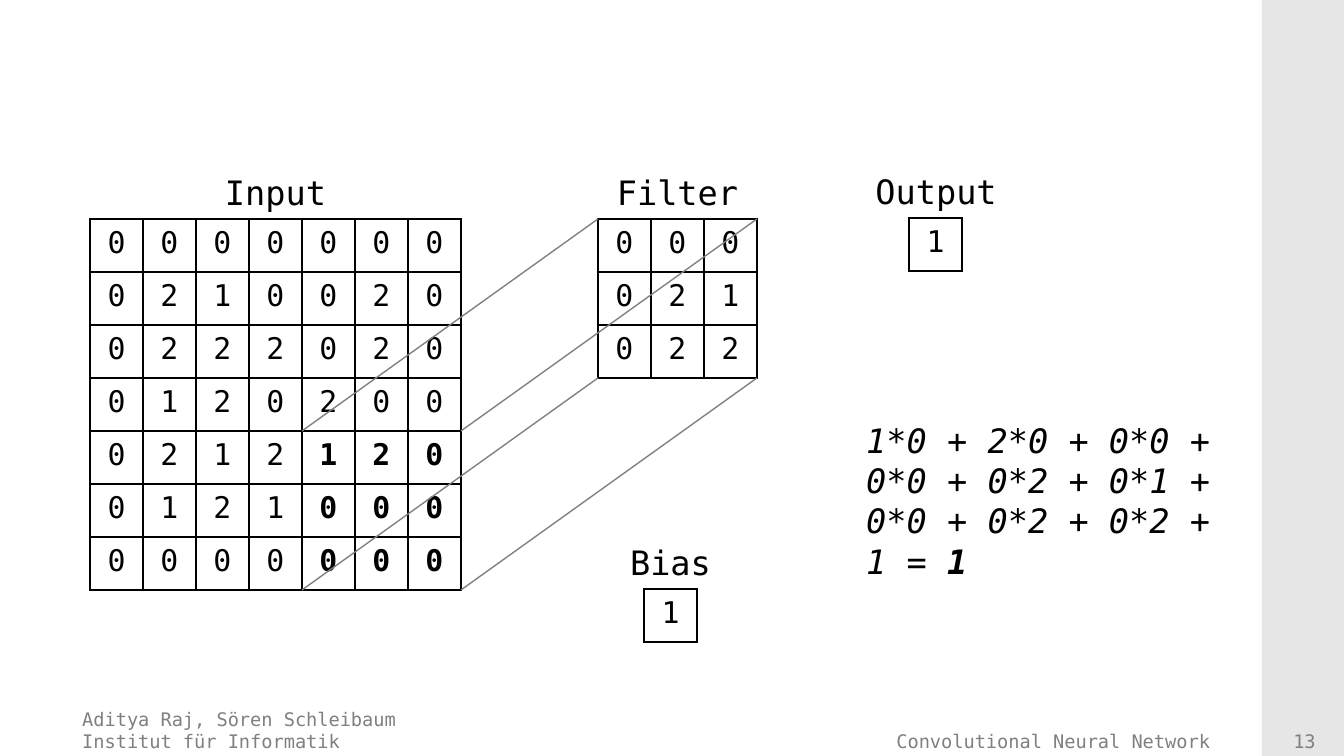
from dataclasses import dataclass

from lxml import etree
from pptx import Presentation
from pptx.dml.color import RGBColor
from pptx.enum.shapes import MSO_CONNECTOR, MSO_SHAPE
from pptx.enum.text import MSO_ANCHOR, PP_ALIGN
from pptx.oxml.ns import qn
from pptx.util import Pt

LEFT, MID, RIGHT = PP_ALIGN.LEFT, PP_ALIGN.CENTER, PP_ALIGN.RIGHT
TOP, BOTTOM = MSO_ANCHOR.TOP, MSO_ANCHOR.BOTTOM
RECT, LINE = MSO_SHAPE.RECTANGLE, MSO_CONNECTOR.STRAIGHT
SCALE = 914400 / 134.4
CELL = 53


@dataclass(frozen=True)
class Theme:
    font: str = "DejaVu Sans Mono"
    ink: str = "000000"
    gray: str = "808080"
    band: str = "E6E6E6"
    head: int = 18
    cell: int = 16
    foot: int = 10
    rule: float = 1
    ray: float = 0.75


THEME = Theme()


def px(*sizes):
    return [round(size * SCALE) for size in sizes]


def style(par, size, color, align, bold=False, italic=False):
    par.alignment = align
    for run in par.runs:
        font = run.font
        font.name, font.size = THEME.font, Pt(size)
        font.bold, font.italic = bold, italic
        font.color.rgb = RGBColor.from_string(color)


def text(slide, box, words, size, color, align, anchor=TOP, italic=False):
    frame = slide.shapes.add_textbox(*px(*box)).text_frame
    frame.word_wrap = True
    frame.vertical_anchor = anchor
    frame.text = words
    for par in frame.paragraphs:
        style(par, size, color, align, italic=italic)
    return frame


def border(cell):
    props = cell._tc.get_or_add_tcPr()
    for place, side in enumerate(("lnL", "lnR", "lnT", "lnB")):
        edge = etree.Element(qn(f"a:{side}"), w=str(Pt(THEME.rule)))
        fill = etree.SubElement(edge, qn("a:solidFill"))
        etree.SubElement(fill, qn("a:srgbClr"), val=THEME.ink)
        props.insert(place, edge)


def grid(slide, left, top, rows, hot=None):
    high, wide = len(rows), len(rows[0])
    box = px(left, top, wide * CELL, high * CELL)
    table = slide.shapes.add_table(high, wide, *box).table
    table.first_row = table.horz_banding = False
    for line in (*table.rows,):
        line.height = px(CELL)[0]
    for line in (*table.columns,):
        line.width = px(CELL)[0]
    for r, row in enumerate(rows):
        for c, value in enumerate(row):
            cell = table.cell(r, c)
            cell.fill.background()
            border(cell)
            cell.text_frame.text = value
            bold = hot is not None and min(r, c) >= hot
            style(cell.text_frame.paragraphs[0], THEME.cell, THEME.ink, MID, bold)


def panel(slide, box, name, rows, hot=None):
    left, top, wide, high = box
    text(slide, box, name, THEME.head, THEME.ink, MID)
    inset = (wide - len(rows[0]) * CELL) // 2
    grid(slide, left + inset, top + high, rows, hot)


def rays(slide, start, end, side):
    for down in (0, side):
        for over in (0, side):
            ends = px(start[0] + over, start[1] + down, end[0] + over, end[1] + down)
            ray = slide.shapes.add_connector(LINE, *ends)
            ray.line.color.rgb = RGBColor.from_string(THEME.gray)
            ray.line.width = Pt(THEME.ray)
            etree.SubElement(ray._element.spPr, qn("a:effectLst"))


def formula(slide, box):
    words = "1*0 + 2*0 + 0*0 +\n0*0 + 0*2 + 0*1 +\n0*0 + 0*2 + 0*2 +\n1 = "
    frame = text(slide, box, words, THEME.head, THEME.ink, LEFT, italic=True)
    last = frame.paragraphs[-1]
    last.add_run().text = "1"
    style(last, THEME.head, THEME.ink, LEFT, italic=True)
    last.runs[-1].font.bold = True


def sidebar(slide, box):
    bar = slide.shapes.add_shape(RECT, *px(*box))
    bar.shadow.inherit = False
    bar.fill.solid()
    bar.fill.fore_color.rgb = RGBColor.from_string(THEME.band)
    bar.line.fill.background()


def footer(slide, box):
    left, top, wide, high = box
    parts = (
        (0, 571, "Aditya Raj, Sören Schleibaum\nInstitut für Informatik", LEFT),
        (583, 571, "Convolutional Neural Network", RIGHT),
        (wide - 69, 69, "13", MID),
    )
    for over, width, words, align in parts:
        place = (left + over, top, width, high)
        text(slide, place, words, THEME.foot, THEME.gray, align, BOTTOM)


def main():
    deck = Presentation()
    deck.slide_width, deck.slide_height = px(1344, 756)
    slide = deck.slides.add_slide(deck.slide_layouts[6])
    sidebar(slide, (1262, 0, 82, 756))
    footer(slide, (69, 700, 1270, 59))
    image = ("0000000", "0210020", "0222020", "0120200",
             "0212120", "0121000", "0000000")
    kernel = ("000", "021", "022")
    hot = len(image) - len(kernel)
    panel(slide, (90, 165, 371, 54), "Input", image, hot)
    panel(slide, (598, 165, 159, 54), "Filter", kernel)
    panel(slide, (851, 164, 170, 54), "Output", ("1",))
    panel(slide, (591, 535, 159, 54), "Bias", ("1",))
    rays(slide, (90 + hot * CELL, 219 + hot * CELL), (598, 219), len(kernel) * CELL)
    formula(slide, (853, 413, 371, 176))
    deck.save("out.pptx")


if __name__ == "__main__":
    main()
